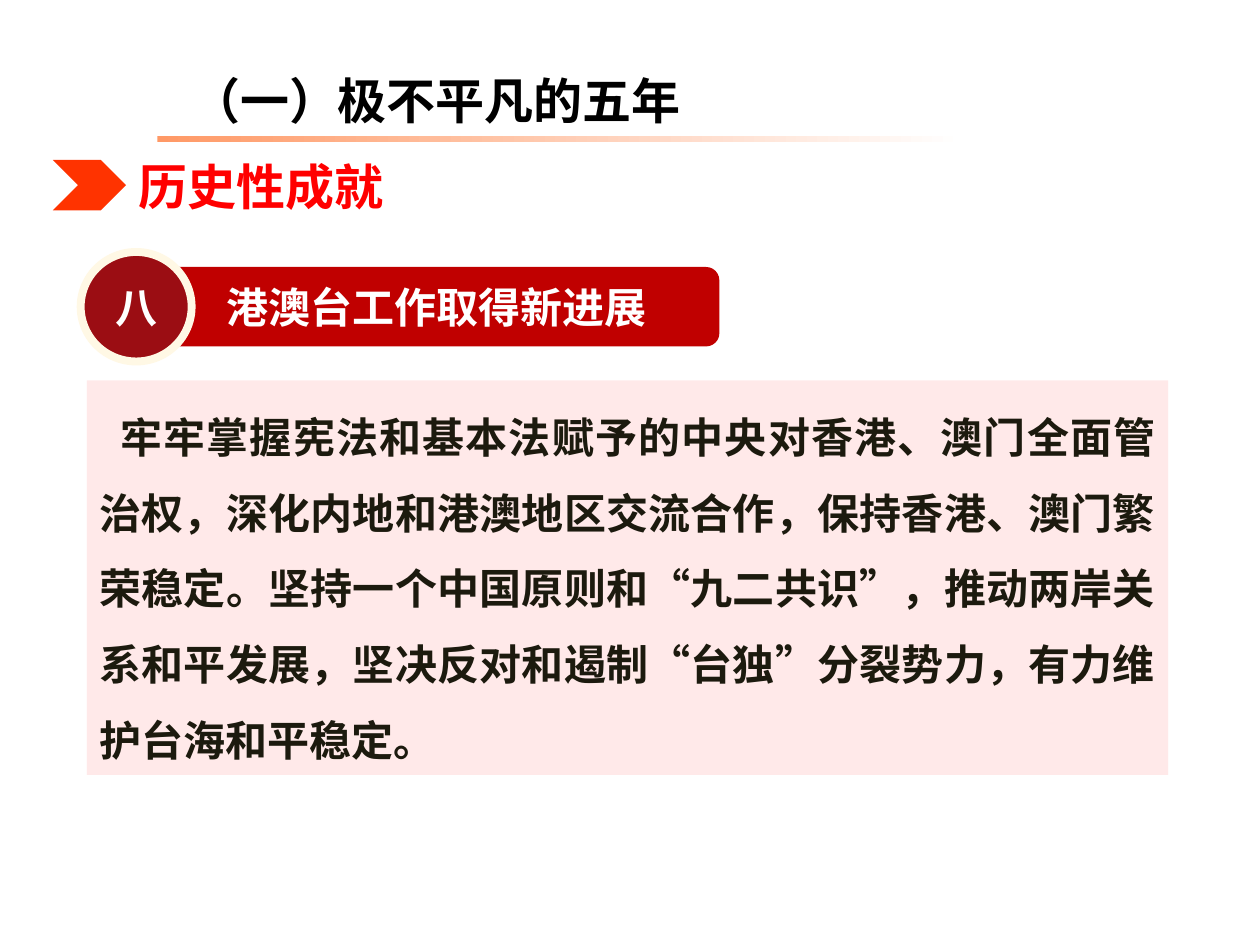
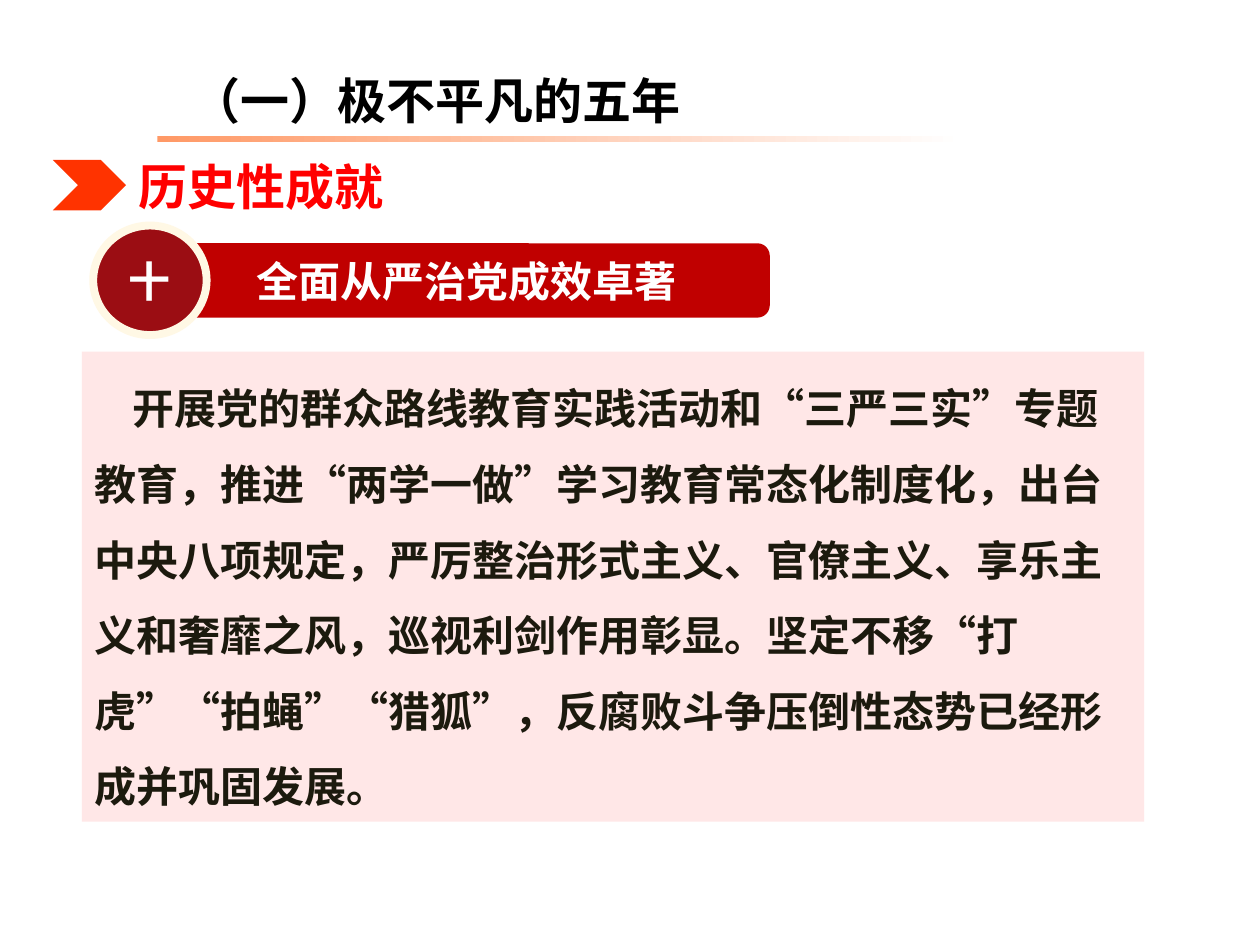
from lxml import etree
from pptx import Presentation
from pptx.dml.color import RGBColor
from pptx.enum import lang, shapes, text
from pptx.oxml import ns
from pptx.util import Pt

FONT = "Noto Sans CJK SC"
BLACK = RGBColor(0x00, 0x00, 0x00)
WHITE = RGBColor(0xFF, 0xFF, 0xFF)
RED = RGBColor(0xFF, 0x00, 0x00)
ORANGE = RGBColor(0xFF, 0x99, 0x66)
CHEVRON_RED = RGBColor(0xFF, 0x33, 0x00)
BANNER_RED = RGBColor(0xC0, 0x00, 0x00)
BADGE_RED = RGBColor(0x9B, 0x0D, 0x13)
CREAM = RGBColor(0xFF, 0xF8, 0xE5)
PINK = RGBColor(0xFF, 0xBF, 0xBF)
INK = RGBColor(0x1C, 0x1A, 0x0E)

SHAPE = shapes.MSO_SHAPE
ALIGN = text.PP_ALIGN

# Box positions are left, top, width, height in points
ACHIEVEMENTS = [
    {
        "numeral": "八",
        "heading": "港澳台工作取得新进展",
        "body": "牢牢掌握宪法和基本法赋予的中央对香港、澳门全面管治权，深化内地和港澳地区"
                "交流合作，保持香港、澳门繁荣稳定。坚持一个中国原则和“九二共识”，推动两岸"
                "关系和平发展，坚决反对和遏制“台独”分裂势力，有力维护台海和平稳定。",
        "banner_box": (87.8, 152.6, 323.3, 45.4),
        "badge_box": (46.1, 144, 63.4, 62.6),
        "body_box": (49.7, 217.4, 617.8, 225.4),
        "opacity": 33, "indent": 12, "align": ALIGN.JUSTIFY,
    },
    {
        "numeral": "十",
        "heading": "全面从严治党成效卓著",
        "body": "开展党的群众路线教育实践活动和“三严三实”专题教育，推进“两学一做”学习教育"
                "常态化制度化，出台中央八项规定，严厉整治形式主义、官僚主义、享乐主义和奢靡"
                "之风，巡视利剑作用彰显。坚定不移“打虎”“拍蝇”“猎狐”，反腐败斗争压倒性"
                "态势已经形成并巩固发展。",
        "banner_box": (92.9, 139, 347, 42.5),
        "badge_box": (53.3, 128.9, 64.8, 62.6),
        "body_box": (46.8, 200.9, 607, 268.6),
        "opacity": 37, "indent": 22, "align": ALIGN.LEFT,
    },
]


def add_block(parent, preset, box, fill=None):
    """Add a preset shape, or a text box when preset is None."""
    place = [Pt(length) for length in box]
    if preset is None:
        return parent.add_textbox(*place)
    block = parent.add_shape(preset, *place)
    block.shadow.inherit = False
    block.line.fill.background()
    if fill is not None:
        block.fill.solid()
        block.fill.fore_color.rgb = fill
    return block


def write(block, words, size, color, align=ALIGN.LEFT, anchor=text.MSO_ANCHOR.TOP):
    frame = block.text_frame
    frame.word_wrap = True
    frame.vertical_anchor = anchor
    paragraph = frame.paragraphs[0]
    paragraph.alignment = align
    run = paragraph.add_run()
    run.text = words
    run.font.size = Pt(size)
    run.font.bold = True
    run.font.color.rgb = color
    run.font.name = FONT
    run.font.language_id = lang.MSO_LANGUAGE_ID.SIMPLIFIED_CHINESE
    etree.SubElement(run.font._element, ns.qn("a:ea"), typeface=FONT)
    return paragraph


deck = Presentation()
deck.slide_width, deck.slide_height = Pt(720), Pt(540)

for item in ACHIEVEMENTS:
    canvas = deck.slides.add_slide(deck.slide_layouts[6]).shapes

    # Chapter title with a fading rule below
    title = add_block(canvas, None, (102.2, 30.2, 441.4, 42.5))
    write(title, "（一）极不平凡的五年", 28, BLACK).line_spacing = 1.2
    rule = add_block(canvas, SHAPE.RECTANGLE, (90, 77.8, 460.8, 3.6))
    rule.fill.gradient()
    rule.fill.gradient_angle = 0
    for stop, color in zip(rule.fill.gradient_stops, (ORANGE, WHITE)):
        stop.color.rgb = color

    # Section label
    add_block(canvas, SHAPE.CHEVRON, (30.2, 91.4, 41.8, 28.8), CHEVRON_RED)
    section = add_block(canvas, None, (72, 85.7, 414, 41))
    write(section, "历史性成就", 28, RED)

    # Numbered heading
    heading = canvas.add_group_shape().shapes
    banner = add_block(heading, SHAPE.ROUNDED_RECTANGLE, item["banner_box"], BANNER_RED)
    badge = add_block(heading, SHAPE.OVAL, item["badge_box"], BADGE_RED)
    badge.line.color.rgb = CREAM
    badge.line.width = Pt(4.5)
    for block, words in ((banner, item["heading"]), (badge, item["numeral"])):
        write(block, words, 24, WHITE, ALIGN.CENTER, text.MSO_ANCHOR.MIDDLE)

    # Body text on a translucent panel
    panel = add_block(canvas, SHAPE.RECTANGLE, item["body_box"], PINK)
    tint = panel.fill._xPr.find(".//" + ns.qn("a:srgbClr"))
    etree.SubElement(tint, ns.qn("a:alpha"), val=str(item["opacity"] * 1000))
    body = write(panel, item["body"], 24, INK, item["align"])
    body.line_spacing = 1.5
    body._p.get_or_add_pPr().set("indent", str(Pt(item["indent"])))

deck.save("out.pptx")
